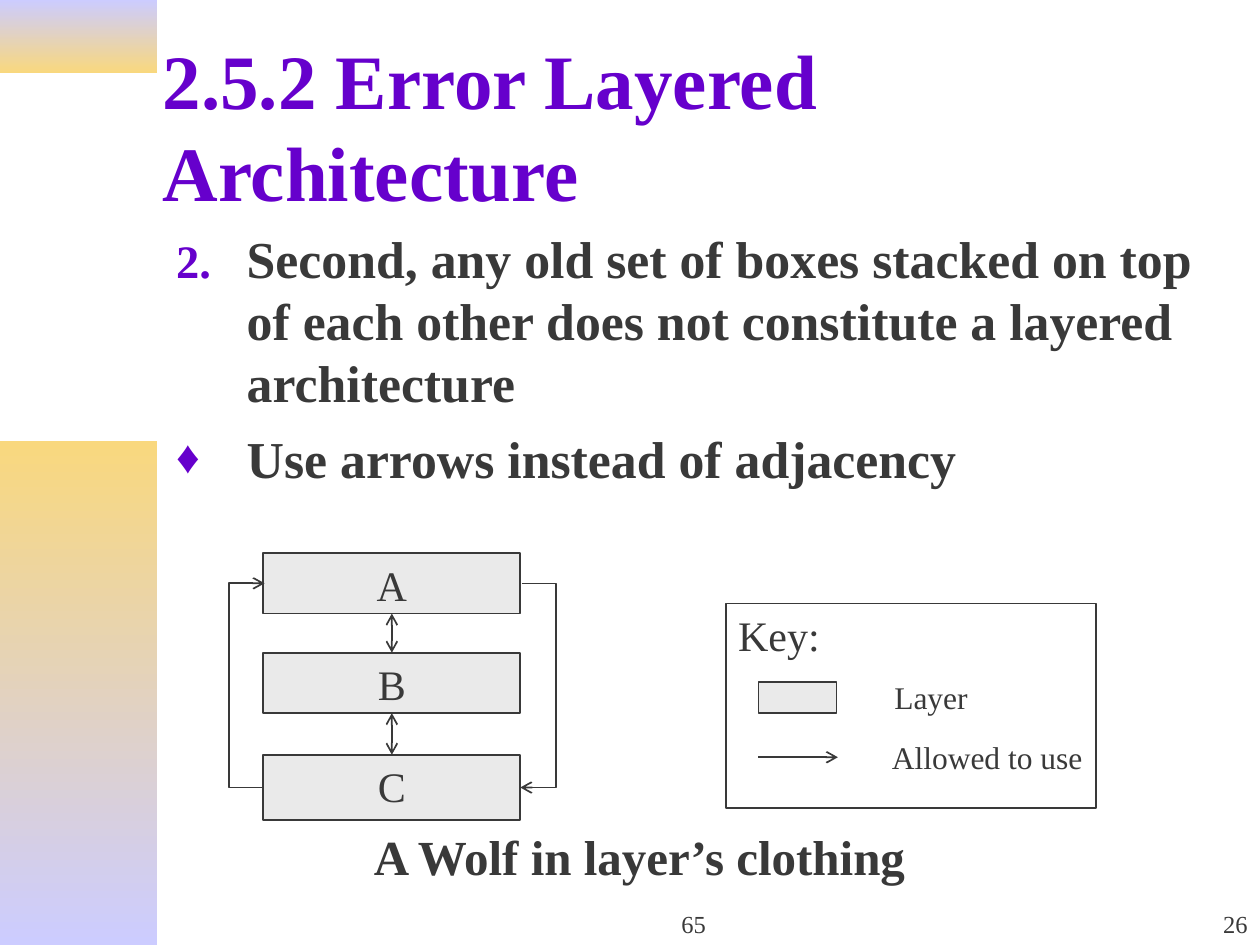
from lxml import etree
from pptx import Presentation
from pptx.dml.color import RGBColor
from pptx.enum.shapes import MSO_CONNECTOR, MSO_SHAPE
from pptx.enum.text import MSO_ANCHOR, PP_ALIGN
from pptx.oxml.ns import qn
from pptx.util import Inches, Pt

RECT = MSO_SHAPE.RECTANGLE
STRAIGHT, ELBOW = MSO_CONNECTOR.STRAIGHT, MSO_CONNECTOR.ELBOW
LEFT, CENTER, RIGHT = PP_ALIGN.LEFT, PP_ALIGN.CENTER, PP_ALIGN.RIGHT
TOP, MIDDLE, BOTTOM = MSO_ANCHOR.TOP, MSO_ANCHOR.MIDDLE, MSO_ANCHOR.BOTTOM
TITLE_ONLY = 5

FONT = "Times New Roman"
INK, PURPLE, GRAY, WHITE = "393939", "6600CC", "EAEAEA", "FFFFFF"
LILAC, GOLD = "CCCCFF", "F9D87E"


def rgb(value):
    return RGBColor.from_string(value)


class SlideBuilder:
    def __init__(self, slide):
        self.slide = slide
        self.shapes = slide.shapes

    def style(self, paragraph, size, bold=False, color=INK, align=LEFT):
        paragraph.alignment = align
        font = paragraph.font
        font.name, font.size, font.bold = FONT, Pt(size), bold
        font.color.rgb = rgb(color)

    def title(self, text, box):
        title = self.shapes.title
        title.left, title.top, title.width, title.height = map(Inches, box)
        frame = title.text_frame
        frame.text = text
        frame.word_wrap = True
        frame.vertical_anchor = MIDDLE
        self.style(frame.paragraphs[0], 44, True, PURPLE)

    def gradient_bar(self, box, top_color, bottom_color):
        bar = self.shapes.add_shape(RECT, *map(Inches, box))
        bar.shadow.inherit = False
        bar.line.fill.background()
        bar.fill.gradient()
        bar.fill.gradient_angle = 270
        for stop, color in zip(bar.fill.gradient_stops, (top_color, bottom_color)):
            stop.color.rgb = rgb(color)

    def bullets(self, items, box):
        frame = self.shapes.add_textbox(*map(Inches, box)).text_frame
        frame.word_wrap = True
        for i, (text, tag, attributes) in enumerate(items):
            paragraph = frame.add_paragraph() if i else frame.paragraphs[0]
            paragraph.text = text
            properties = paragraph._p.get_or_add_pPr()
            properties.set("marL", str(Inches(0.56)))
            properties.set("indent", str(-Inches(0.56)))
            color = etree.SubElement(properties, qn("a:buClr"))
            etree.SubElement(color, qn("a:srgbClr"), val=PURPLE)
            etree.SubElement(properties, qn("a:buSzPct"), val="90000")
            etree.SubElement(properties, qn("a:buFont"), typeface=FONT)
            etree.SubElement(properties, qn(tag), **attributes)
            if i:
                paragraph.space_before = Pt(8)
            self.style(paragraph, 29.6, True)

    def text(self, text, box, size, bold=False, align=LEFT, anchor=TOP):
        frame = self.shapes.add_textbox(*map(Inches, box)).text_frame
        frame.word_wrap = False
        frame.vertical_anchor = anchor
        frame.text = text
        self.style(frame.paragraphs[0], size, bold, align=align)

    def box(self, box, text="", fill=GRAY, align=CENTER):
        shape = self.shapes.add_shape(RECT, *map(Inches, box))
        shape.shadow.inherit = False
        shape.fill.solid()
        shape.fill.fore_color.rgb = rgb(fill)
        shape.line.color.rgb = rgb(INK)
        shape.line.width = Pt(1)
        if text:
            frame = shape.text_frame
            frame.word_wrap = False
            frame.vertical_anchor = TOP
            frame.text = text
            self.style(frame.paragraphs[0], 24, align=align)

    def arrow(self, start, end, both=False, bend=None):
        kind = STRAIGHT if bend is None else ELBOW
        connector = self.shapes.add_connector(kind, *map(Inches, start + end))
        connector.line.color.rgb = rgb(INK)
        connector.line.width = Pt(1)
        line = connector.line._get_or_add_ln()
        for tag in ("a:headEnd", "a:tailEnd") if both else ("a:tailEnd",):
            etree.SubElement(line, qn(tag), type="arrow")
        properties = connector._element.spPr
        etree.SubElement(properties, qn("a:effectLst"))
        if bend is not None:
            guides = properties.find(qn("a:prstGeom")).get_or_add_avLst()
            etree.SubElement(guides, qn("a:gd"), name="adj1",
                             fmla=f"val {round(bend * 100000)}")


def main():
    prs = Presentation()
    prs.slide_width, prs.slide_height = Inches(10), Inches(7.5)
    page = SlideBuilder(prs.slides.add_slide(prs.slide_layouts[TITLE_ONLY]))

    # Side bars and heading
    page.gradient_bar((0, 0, 1.25, 0.58), LILAC, GOLD)
    page.gradient_bar((0, 3.5, 1.25, 4), GOLD, LILAC)
    page.title("2.5.2 Error Layered Architecture", (1.19, 0.33, 8.77, 1.32))

    # Statements
    page.bullets([
        ("Second, any old set of boxes stacked on top of each other does not "
         "constitute a layered architecture",
         "a:buAutoNum", {"type": "arabicPeriod", "startAt": "2"}),
        ("Use arrows instead of adjacency", "a:buChar", {"char": "♦"}),
    ], (1.3, 1.75, 8.66, 2.24))

    # Footer numbers
    page.text("65", (3.92, 7, 3.17, 0.5), 14, align=CENTER, anchor=BOTTOM)
    page.text("26", (7.92, 7, 2.08, 0.5), 14, align=RIGHT, anchor=BOTTOM)

    # Layers, with two-way arrows between neighbours
    left, width = 2.09, 2.04
    right, middle = left + width, left + width / 2
    layers = [("A", 4.39, 0.48), ("B", 5.18, 0.48), ("C", 5.99, 0.52)]
    for name, top, height in layers:
        page.box((left, top, width, height), name)
    for (_, top, height), (_, next_top, _) in zip(layers, layers[1:]):
        page.arrow((middle, top + height), (middle, next_top), both=True)

    # Arrows around the stack: the bend is a multiple of the tiny width
    a_center, c_center = (top + height / 2 for _, top, height in (layers[0], layers[-1]))
    sliver, reach = 0.01, 0.28
    bend = -reach / sliver
    page.arrow((left, c_center), (left + sliver, a_center), bend=bend)
    page.arrow((right + sliver, a_center), (right, c_center), bend=bend)

    # Key
    page.box((5.76, 4.79, 2.94, 1.62), "Key:", WHITE, LEFT)
    page.box((6.02, 5.41, 0.62, 0.25))
    page.text("Layer", (7, 5.33, 0.8, 0.4), 18)
    page.arrow((6.02, 6.01), (6.65, 6.01))
    page.text("Allowed to use", (6.98, 5.81, 1.75, 0.4), 18)

    # Caption
    page.text("A Wolf in layer’s clothing", (2.87, 6.51, 4.47, 0.57), 28, bold=True)

    prs.save("out.pptx")


if __name__ == "__main__":
    main()
